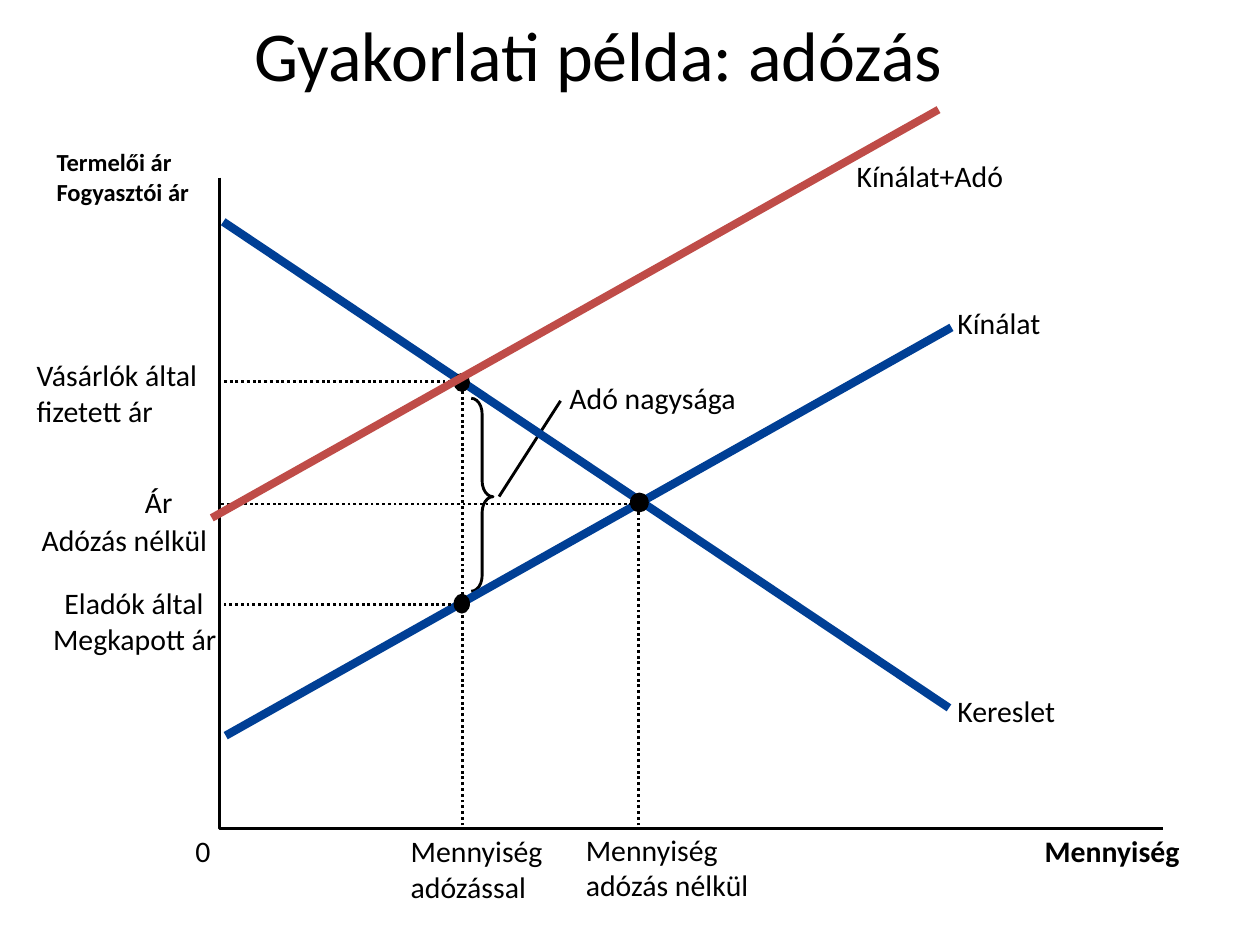
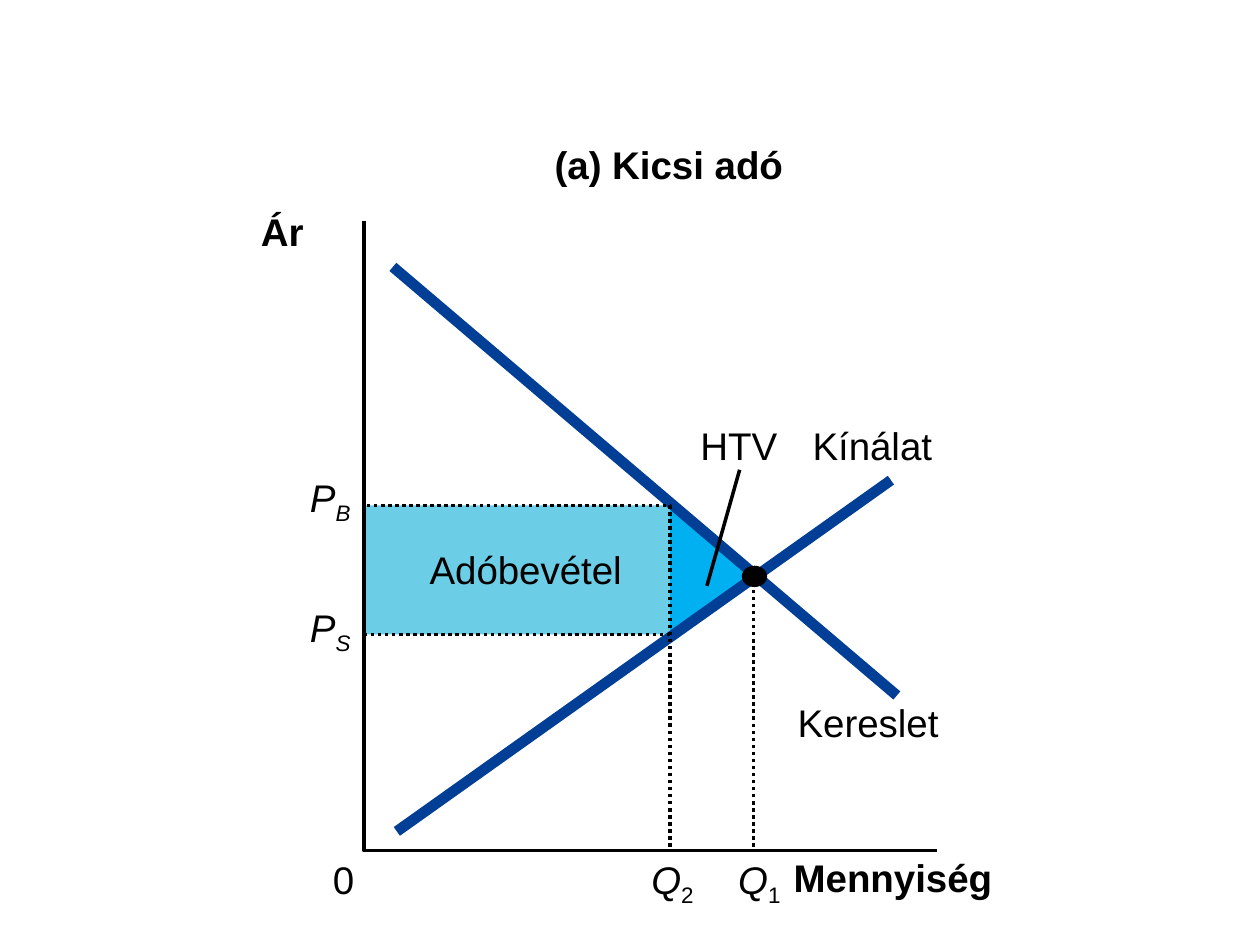
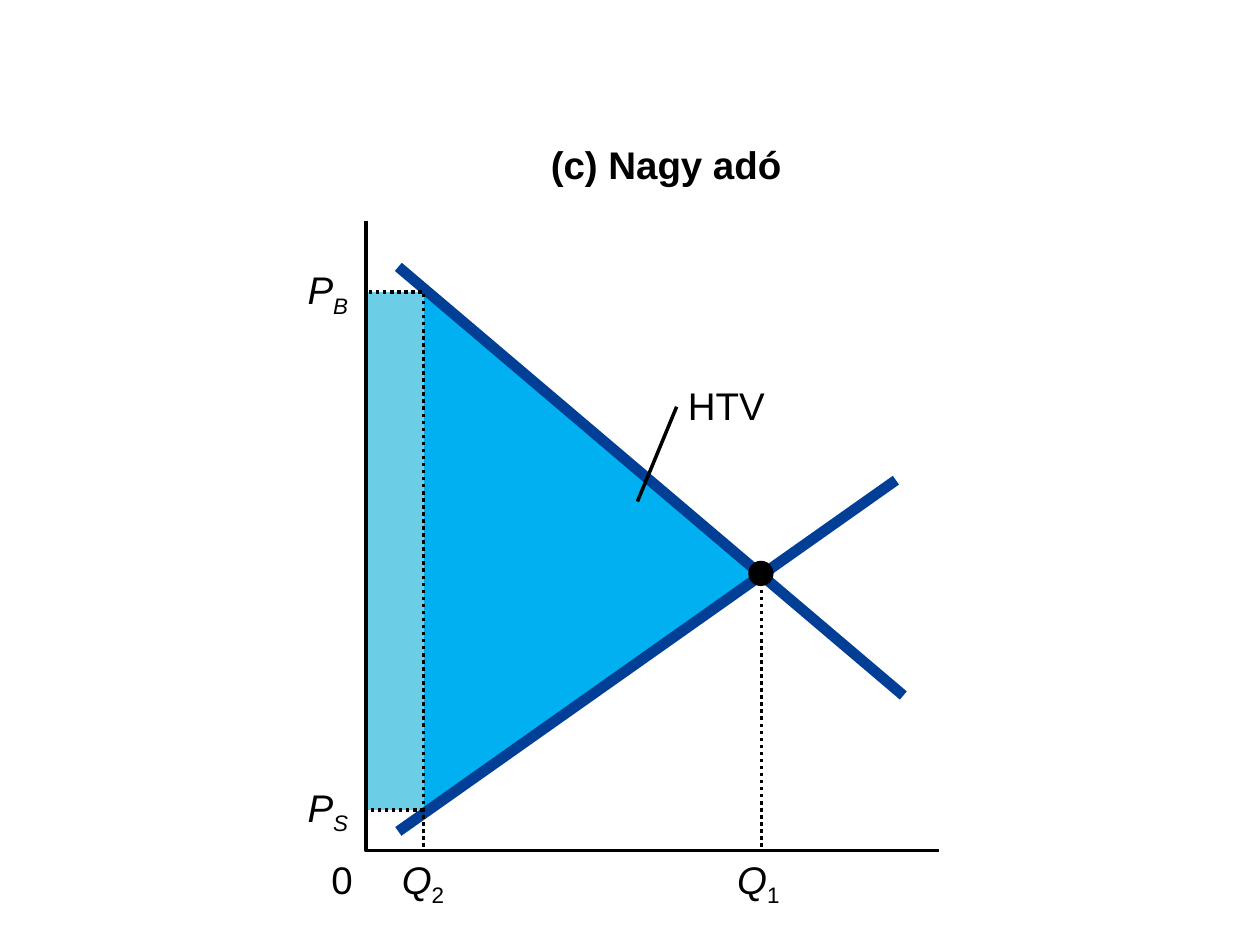
from pptx import Presentation
from pptx.dml.color import RGBColor
from pptx.enum.dml import MSO_LINE_DASH_STYLE as DASH
from pptx.enum.shapes import MSO_CONNECTOR, MSO_SHAPE
from pptx.enum.text import MSO_ANCHOR, MSO_AUTO_SIZE, PP_ALIGN
from pptx.oxml.ns import qn
from pptx.util import Cm, Pt
from lxml.etree import SubElement

COLORS = {"ink": "000000", "curve": "003F95", "taxed": "BF4C48",
          "revenue": "6CCEE6", "loss": "00B0F0"}
TITLE_ONLY = 5

# All places are in cm. Labels: text, left, top, width, then size and bold if special.
OVERVIEW = {
    "title": "Gyakorlati példa: adózás",
    "axes": [(4.42, 3.58), (4.42, 16.71), (23.44, 16.71)],
    "demand": [(4.5, 4.47), (19.13, 14.27)],
    "supply": [(19.18, 6.6), (4.55, 14.83)],
    "taxed supply": [(18.92, 2.21), (4.27, 10.44)],
    "guides": [
        [(12.88, 16.64), (12.88, 10.16), (4.42, 10.16)],
        [(9.32, 16.64), (9.32, 7.7), (4.42, 7.7)],
        [(9.32, 12.19), (4.42, 12.19)],
    ],
    "dots": [(12.89, 10.13, 0.38, 0.4), (9.31, 12.17, 0.33, 0.4), (9.31, 7.71, 0.33, 0.38)],
    "tax brace": (9.5, 8.03, 0.44, 3.89),
    "tax leader": [(10.06, 10.01), (11.3, 8.08)],
    "labels": [
        ("Adó nagysága", 11.48, 7.65, 3.38),
        ("Mennyiség", 21.06, 16.79, 2.74, 17, True),
        ("0", 3.94, 16.79, 0.3),
        ("Termelői ár\nFogyasztói ár", 1.14, 2.97, 2.69, 14, True),
        ("Eladók által", 1.3, 11.79, 2.82),
        ("Megkapott ár", 1.07, 12.52, 3.33),
        ("Kereslet", 19.3, 13.97, 1.98),
        ("Kínálat", 19.3, 6.15, 1.68),
        ("Ár", 2.92, 9.75, 0.71),
        ("Adózás nélkül", 0.84, 10.52, 3.35),
        ("Mennyiség\nadózás nélkül", 11.81, 16.76, 3.3),
        ("Mennyiség\nadózással", 8.28, 16.79, 2.67),
        ("Kínálat+Adó", 17.27, 3.18, 2.97),
    ],
    "wrapped label": ("Vásárlók által fizetett ár", 0.74, 7.19, 3.71),
}

AXIS_TOP, AXIS_BOTTOM, AXIS_LENGTH, GUIDE_BOTTOM = 4.45, 17.15, 11.55, 17.07
QUANTITY_TOP = 17.25
PANELS = [
    {
        "title": ("(a) Kicsi adó", 11.15, 2.84, 4.67),
        "origin x": 7.34, "q2": 13.51, "q1": 15.19,
        "buyer price": 10.19, "seller price": 12.79,
        "loss": [(13.51, 10.03), (13.51, 12.85), (15.34, 11.63)],
        "demand": [(7.92, 5.38), (18.08, 14.02)],
        "supply": [(17.96, 9.68), (8.0, 16.76)],
        "dot": (15.21, 11.62, 0.51, 0.43),
        "leader": [(14.91, 9.47), (14.25, 11.81)],
        "labels": [
            ("Adóbevétel", 8.66, 11.0, 3.94),
            ("Kereslet", 16.08, 14.1, 2.87),
            ("Kínálat", 16.38, 8.51, 2.44),
            ("Mennyiség", 16.0, 17.22, 4.06, 22, True),
            ("0", 6.71, QUANTITY_TOP, 0.43),
            ("Ár", 5.26, 4.19, 0.86, 22, True),
            ("HTV", 14.12, 8.51, 1.57),
            ("Q_1", 14.88, QUANTITY_TOP, 0.89),
            ("Q_2", 13.13, QUANTITY_TOP, 0.89),
            ("P_B", 6.25, 9.55, 0.86),
            ("P_S", 6.25, 12.17, 0.86),
        ],
    },
    {
        "title": ("(c) Nagy adó", 11.07, 2.84, 4.72),
        "origin x": 7.38, "q2": 8.54, "q1": 15.35,
        "buyer price": 5.89, "seller price": 16.33,
        "loss": [(8.54, 5.89), (8.54, 16.33), (15.37, 11.63)],
        "demand": [(8.03, 5.38), (18.21, 14.02)],
        "supply": [(18.06, 9.68), (8.03, 16.76)],
        "dot": (15.34, 11.56, 0.51, 0.51),
        "leader": [(13.64, 8.2), (12.85, 10.11)],
        "labels": [
            ("0", 6.68, QUANTITY_TOP, 0.43),
            ("HTV", 13.87, 7.7, 1.57),
            ("Q_1", 14.86, QUANTITY_TOP, 0.89),
            ("Q_2", 8.1, QUANTITY_TOP, 0.89),
            ("P_B", 6.2, 5.36, 0.86),
            ("P_S", 6.2, 15.8, 0.86),
        ],
    },
]


def rgb(name):
    return RGBColor.from_string(COLORS[name])


def style_run(run, font, size, bold=False):
    run.font.name, run.font.size, run.font.bold = font, Pt(size), bold
    run.font.color.rgb = rgb("ink")


def clear_insets(frame):
    frame.margin_left = frame.margin_right = frame.margin_top = frame.margin_bottom = 0
    frame.vertical_anchor = MSO_ANCHOR.TOP


def set_title(slide, text, box, font, size, bold=False, spacing=1.0):
    title = slide.shapes.title
    title.left, title.top, title.width, title.height = (Cm(v) for v in box)
    frame = title.text_frame
    frame.text = text
    clear_insets(frame)
    frame.auto_size = MSO_AUTO_SIZE.NONE
    frame.word_wrap = spacing < 1
    paragraph = frame.paragraphs[0]
    paragraph.alignment, paragraph.line_spacing = PP_ALIGN.CENTER, spacing
    style_run(paragraph.runs[0], font, size, bold)


def add_label(slide, font, text, left, top, width, size, bold=False, wrap=False):
    """Add text; an underscore starts a subscript after an italic symbol."""
    lines = text.split("\n")
    height = Pt(size * 1.2 * len(lines))
    frame = slide.shapes.add_textbox(Cm(left), Cm(top), Cm(width), height).text_frame
    clear_insets(frame)
    frame.word_wrap = wrap
    frame.auto_size = MSO_AUTO_SIZE.SHAPE_TO_FIT_TEXT
    for number, line in enumerate(lines):
        paragraph = frame.add_paragraph() if number else frame.paragraphs[0]
        symbol, _, index = line.partition("_")
        paragraph.text = symbol
        style_run(paragraph.runs[0], font, size, bold)
        if index:
            paragraph.runs[0].font.italic = True
            subscript = paragraph.add_run()
            subscript.text = index
            style_run(subscript, font, size, bold)
            subscript.font.italic = index.isalpha()
            subscript.font._element.set("baseline", "-25000")


def style_line(line, color, width, dotted=False):
    line.color.rgb, line.width = rgb(color), Pt(width)
    if dotted:
        line.dash_style = DASH.ROUND_DOT


def add_path(slide, points, color="ink", width=2.0, dotted=False):
    """Draw two points as a connector, more as an open outline."""
    points = [(Cm(x), Cm(y)) for x, y in points]
    if len(points) == 2:
        path = slide.shapes.add_connector(MSO_CONNECTOR.STRAIGHT, *points[0], *points[1])
        SubElement(path._element.spPr, qn("a:effectLst"))
    else:
        builder = slide.shapes.build_freeform(*points[0])
        builder.add_line_segments(points[1:], close=False)
        path = builder.convert_to_shape()
        path.fill.background()
        path.shadow.inherit = False
    style_line(path.line, color, width, dotted)


def fill_plain(shape, color):
    shape.shadow.inherit = False
    shape.fill.solid()
    shape.fill.fore_color.rgb = rgb(color)
    shape.line.fill.background()


def add_dot(slide, x, y, width, height):
    dot = slide.shapes.add_shape(MSO_SHAPE.OVAL, Cm(x - width / 2), Cm(y - height / 2),
                                 Cm(width), Cm(height))
    fill_plain(dot, "ink")


def draw_overview(slide, chart):
    font, size, thin = "Calibri", 17, 1.63
    set_title(slide, chart["title"], (1.27, 0.56, 21.59, 3.0), font, 40, spacing=0.8)
    add_path(slide, chart["axes"], width=thin)
    brace = slide.shapes.add_shape(MSO_SHAPE.RIGHT_BRACE, *(Cm(v) for v in chart["tax brace"]))
    brace.adjustments[0], brace.adjustments[1] = 0.72, 0.51
    brace.shadow.inherit = False
    brace.fill.background()
    style_line(brace.line, "ink", thin)
    add_path(slide, chart["tax leader"], width=thin)
    for curve in ("demand", "supply"):
        add_path(slide, chart[curve], "curve", 4.75)
    for guide in chart["guides"]:
        add_path(slide, guide, width=thin, dotted=True)
    for dot in chart["dots"]:
        add_dot(slide, *dot)
    add_path(slide, chart["taxed supply"], "taxed", 4.5)
    for text, left, top, width, *special in chart["labels"]:
        add_label(slide, font, text, left, top, width, *(special or [size]))
    add_label(slide, font, *chart["wrapped label"], size, wrap=True)


def draw_panel(slide, panel):
    font, size = "Arial", 22
    title, left, top, width = panel["title"]
    set_title(slide, title, (left, top, width, 0.94), font, size, bold=True)
    x0, q1, q2 = panel["origin x"], panel["q1"], panel["q2"]
    buyer, seller = panel["buyer price"], panel["seller price"]

    revenue = slide.shapes.add_shape(MSO_SHAPE.RECTANGLE, Cm(x0), Cm(buyer),
                                     Cm(q2 - x0), Cm(seller - buyer))
    fill_plain(revenue, "revenue")
    corners = [(Cm(x), Cm(y)) for x, y in panel["loss"]]
    builder = slide.shapes.build_freeform(*corners[0])
    builder.add_line_segments(corners[1:], close=True)
    fill_plain(builder.convert_to_shape(), "loss")

    add_path(slide, [(x0, AXIS_TOP), (x0, AXIS_BOTTOM), (x0 + AXIS_LENGTH, AXIS_BOTTOM)])
    for curve in ("demand", "supply"):
        add_path(slide, panel[curve], "curve", 6.13)
    for guide in ([(q1, GUIDE_BOTTOM), (q1, panel["dot"][1])],
                  [(q2, GUIDE_BOTTOM), (q2, buyer), (x0, buyer)],
                  [(q2, seller), (x0, seller)]):
        add_path(slide, guide, dotted=True)
    add_dot(slide, *panel["dot"])
    add_path(slide, panel["leader"])
    for text, left, top, width, *special in panel["labels"]:
        add_label(slide, font, text, left, top, width, *(special or [size]))


def main():
    deck = Presentation()
    deck.slide_width, deck.slide_height = Cm(25.4), Cm(19.05)
    layout = deck.slide_layouts[TITLE_ONLY]
    draw_overview(deck.slides.add_slide(layout), OVERVIEW)
    for panel in PANELS:
        draw_panel(deck.slides.add_slide(layout), panel)
    deck.save("out.pptx")


if __name__ == "__main__":
    main()
